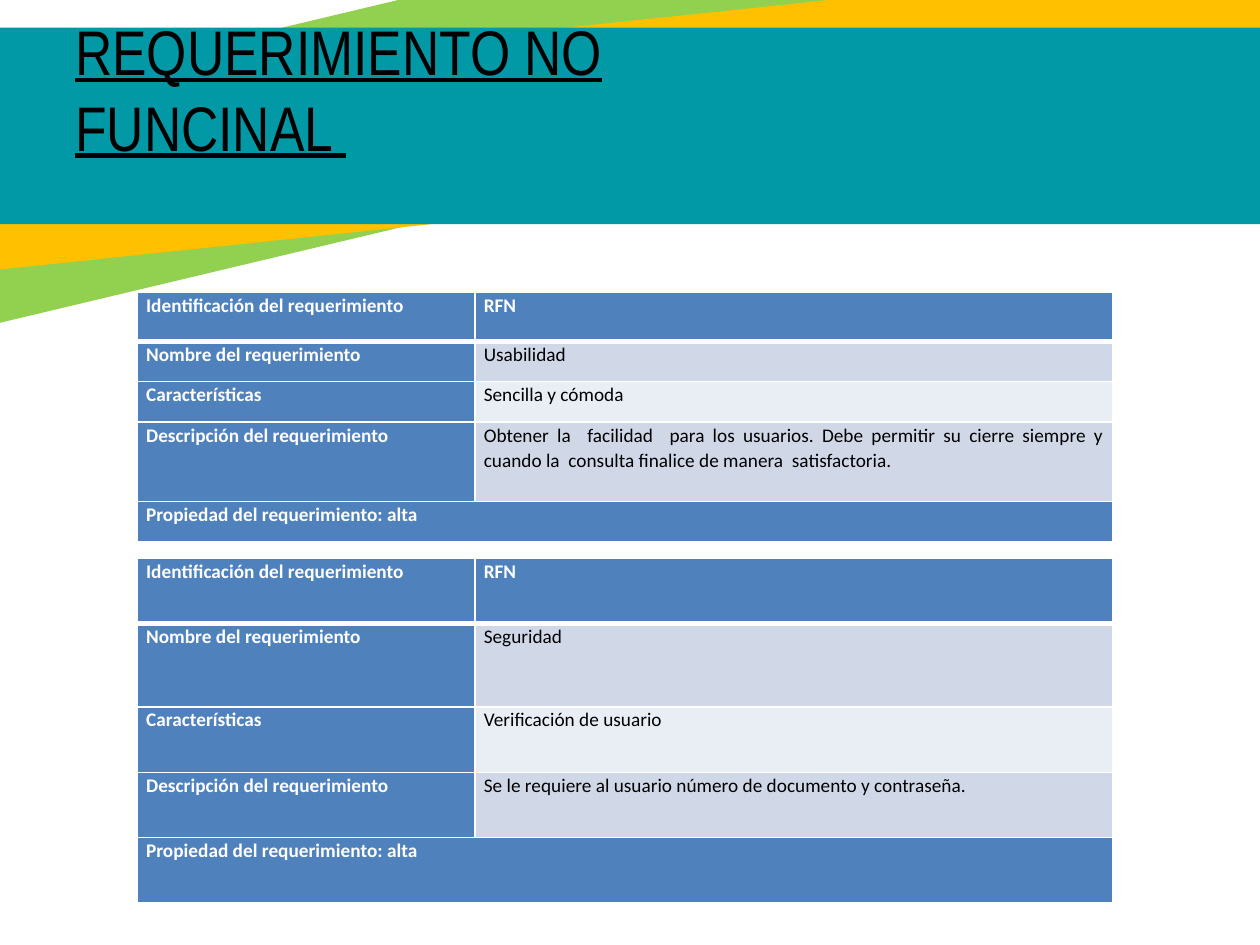
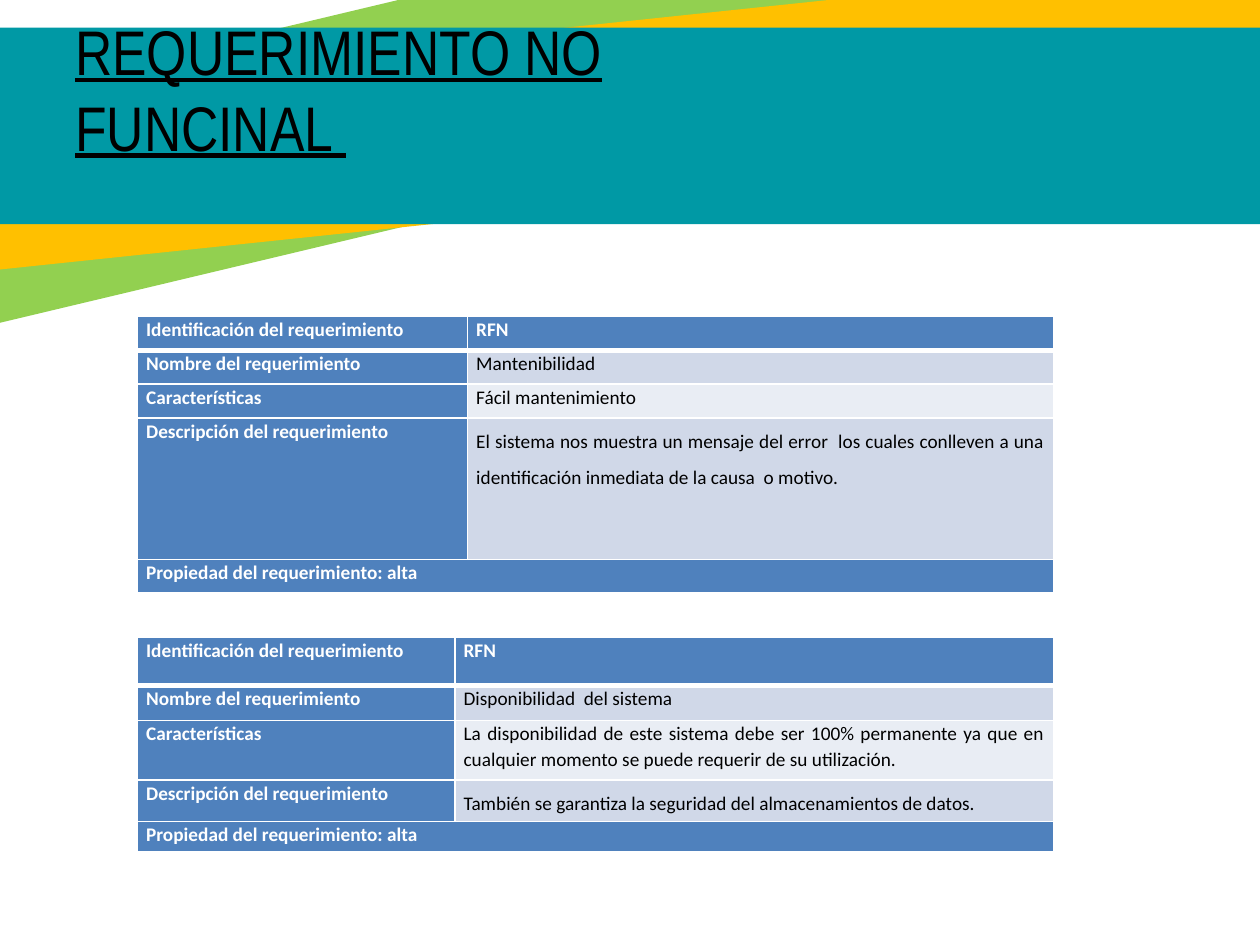
from dataclasses import dataclass

from lxml.etree import SubElement
from pptx import Presentation
from pptx.dml.color import RGBColor
from pptx.enum.shapes import MSO_SHAPE as Shape
from pptx.enum.text import MSO_ANCHOR as Anchor, PP_ALIGN as Align
from pptx.oxml.ns import qn
from pptx.util import Inches, Pt

GREEN, AMBER, TEAL = "92D050", "FFC000", "0099A5"
BLUE, PALE, PALER = "4F81BD", "D0D8E8", "E9EDF4"
WHITE, BLACK = "FFFFFF", "000000"
TITLE_FONT, TABLE_FONT = "Arial Narrow", "Calibri"

TITLE = "REQUERIMIENTO NO FUNCINAL "
LABELS = (
    "Identificación del requerimiento",
    "Nombre del requerimiento",
    "Características",
    "Descripción del requerimiento",
    "Propiedad del requerimiento: alta ",
)
VALUE_FILLS = (BLUE, PALE, PALER, PALE)
TABLE_LEFT = 1.09


@dataclass(frozen=True)
class Band:
    left: float
    top: float
    width: float
    height: float
    color: str
    rotation: float = 0


@dataclass(frozen=True)
class Requirement:
    top: float
    columns: tuple[float, float]
    rows: tuple[float, ...]
    name: str
    features: str
    description: str
    description_spacing: float = 1.07


BANDS = (
    Band(-2.51, -0.18, 13.06, 1.76, GREEN, 346.6),
    Band(-1.1, 0.2, 11.63, 1.44, AMBER, 354),
    Band(-1.06, 0.22, 11.63, 1.56, TEAL),
)

SLIDES = (
    (
        Requirement(
            2.32, (2.68, 5.06), (0.39, 0.32, 0.32, 0.63, 0.32),
            "Usabilidad ",
            "Sencilla y cómoda",
            "Obtener la  facilidad  para los usuarios. Debe permitir su cierre "
            "siempre y cuando la  consulta finalice de manera  satisfactoria.",
        ),
        Requirement(
            4.43, (2.68, 5.06), (0.52, 0.66, 0.52, 0.52, 0.52),
            "Seguridad ",
            "Verificación de usuario ",
            "Se le requiere al usuario número de documento y contraseña.",
        ),
    ),
    (
        Requirement(
            2.51, (2.62, 4.65), (0.27, 0.27, 0.27, 1.12, 0.27),
            "Mantenibilidad",
            "Fácil mantenimiento ",
            "El sistema nos muestra un mensaje del error  los cuales conlleven "
            "a una identificación inmediata de la causa  o motivo.",
            1.5,
        ),
        Requirement(
            5.06, (2.52, 4.75), (0.38, 0.28, 0.47, 0.33, 0.24),
            "Disponibilidad  del sistema",
            "La disponibilidad de este sistema debe ser 100% permanente ya que "
            "en cualquier momento se puede requerir de su utilización.",
            "También se garantiza la seguridad del almacenamientos de datos.",
            1.5,
        ),
    ),
)


def rgb(color: str) -> RGBColor:
    return RGBColor.from_string(color)


def add_band(slide, band: Band) -> None:
    stripe = slide.shapes.add_shape(
        Shape.RECTANGLE, Inches(band.left), Inches(band.top),
        Inches(band.width), Inches(band.height),
    )
    stripe.rotation = band.rotation
    stripe.shadow.inherit = False
    stripe.fill.solid()
    stripe.fill.fore_color.rgb = rgb(band.color)
    stripe.line.fill.background()


def add_title(slide) -> None:
    title = slide.shapes.add_textbox(Inches(0.5), Inches(0.19), Inches(6.2), Inches(1.02))
    frame = title.text_frame
    frame.word_wrap = True
    frame.vertical_anchor = Anchor.MIDDLE
    frame.text = TITLE
    font = frame.paragraphs[0].runs[0].font
    font.name, font.size, font.underline = TITLE_FONT, Pt(36), True
    font.color.rgb = rgb(BLACK)


def set_borders(cell, top: float, bottom: float) -> None:
    """Draw white borders, in points; they must precede the fill in the XML."""
    properties = cell._tc.get_or_add_tcPr()
    widths = {"a:lnL": 1, "a:lnR": 1, "a:lnT": top, "a:lnB": bottom}
    for position, (tag, width) in enumerate(widths.items()):
        border = SubElement(properties, qn(tag), w=str(Pt(width)))
        fill = SubElement(border, qn("a:solidFill"))
        SubElement(fill, qn("a:srgbClr"), val=WHITE)
        properties.insert(position, border)


def write_cell(cell, text: str, fill: str, spacing: float = 1.07) -> None:
    cell.margin_left = cell.margin_right = Inches(0.07)
    cell.margin_top = cell.margin_bottom = 0
    cell.fill.solid()
    cell.fill.fore_color.rgb = rgb(fill)
    cell.text = text
    paragraph = cell.text_frame.paragraphs[0]
    paragraph.alignment = Align.JUSTIFY
    paragraph.line_spacing = spacing
    on_blue = fill == BLUE
    for run in paragraph.runs:
        run.font.name, run.font.size, run.font.bold = TABLE_FONT, Pt(11), on_blue
        run.font.color.rgb = rgb(WHITE if on_blue else BLACK)


def add_requirement(slide, requirement: Requirement) -> None:
    table = slide.shapes.add_table(
        len(LABELS), 2, Inches(TABLE_LEFT), Inches(requirement.top),
        Inches(sum(requirement.columns)), Inches(sum(requirement.rows)),
    ).table
    table.first_row = table.horz_banding = False
    for column, width in zip(table.columns, requirement.columns):
        column.width = Inches(width)
    for index, (row, height) in enumerate(zip(table.rows, requirement.rows)):
        row.height = Inches(height)
        write_cell(table.cell(index, 0), LABELS[index], BLUE)

    values = ("RFN", requirement.name, requirement.features, requirement.description)
    for index, (value, fill) in enumerate(zip(values, VALUE_FILLS)):
        spacing = requirement.description_spacing if index == 3 else 1.07
        write_cell(table.cell(index, 1), value, fill, spacing)

    last = len(LABELS) - 1
    table.cell(last, 0).merge(table.cell(last, 1))
    for index, row in enumerate(table.rows):
        for cell in row.cells:
            set_borders(cell, top=3 if index == 1 else 1, bottom=3 if index == 0 else 1)


def main() -> None:
    deck = Presentation()
    deck.slide_width, deck.slide_height = Inches(10), Inches(7.5)
    for requirements in SLIDES:
        slide = deck.slides.add_slide(deck.slide_layouts[6])
        for band in BANDS:
            add_band(slide, band)
        add_title(slide)
        for requirement in requirements:
            add_requirement(slide, requirement)
    deck.save("out.pptx")


if __name__ == "__main__":
    main()
